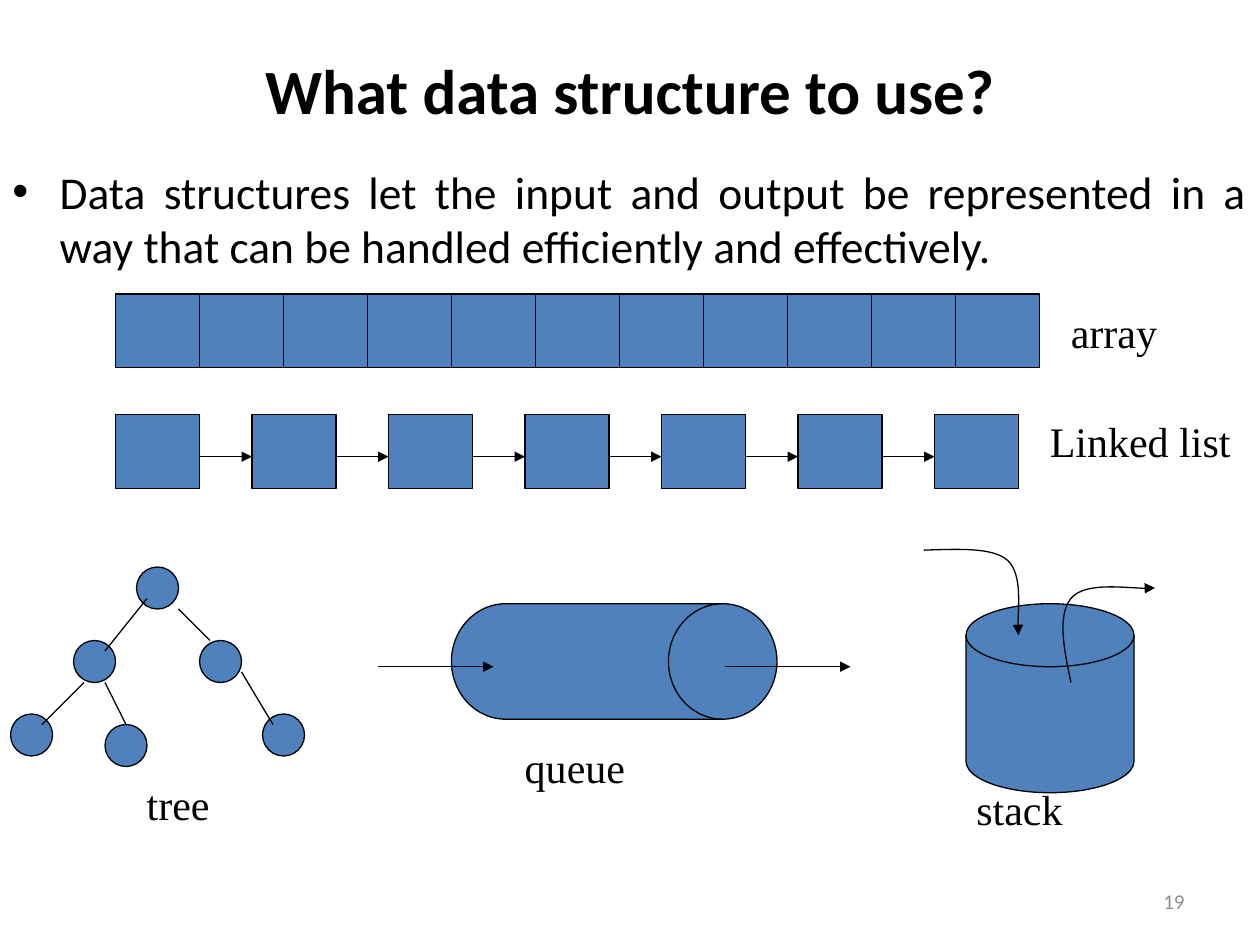
from dataclasses import dataclass

from lxml.etree import SubElement
from pptx import Presentation
from pptx.dml.color import RGBColor
from pptx.enum.shapes import MSO_CONNECTOR, MSO_SHAPE as Shape
from pptx.enum.text import MSO_ANCHOR as Anchor, MSO_AUTO_SIZE as AutoSize, PP_ALIGN as Align
from pptx.oxml.ns import qn
from pptx.util import Emu, Pt

PX = 7620  # EMU per px, 120 px to the inch


@dataclass(frozen=True)
class Theme:
    ink: str = "000000"
    fill: str = "4F81BD"
    muted: str = "8C8C8C"
    sans: str = "Calibri"
    serif: str = "Times New Roman"
    title_size: int = 36
    body_size: int = 26
    label_size: int = 24
    number_size: int = 12
    line_width: float = 0.75


def px(*lengths):
    return [Emu(length * PX) for length in lengths]


class SlideBuilder:
    def __init__(self, deck, theme):
        self.theme = theme
        self.page = deck.slides.add_slide(deck.slide_layouts[5])
        self.shapes = self.page.shapes

    def style_font(self, para, size, face, color=None, bold=False):
        font = para.font
        font.size, font.name, font.bold = Pt(size), face, bold
        font.color.rgb = RGBColor.from_string(color or self.theme.ink)

    def style_line(self, line, arrow=False):
        line.width = Pt(self.theme.line_width)
        line.color.rgb = RGBColor.from_string(self.theme.ink)
        if arrow:
            SubElement(line._get_or_add_ln(), qn("a:tailEnd"), type="triangle")

    def title(self, text, *bounds):
        box = self.shapes.title
        box.left, box.top, box.width, box.height = px(*bounds)
        frame = box.text_frame
        frame.text = text
        frame.vertical_anchor = Anchor.MIDDLE
        frame.paragraphs[0].alignment = Align.CENTER
        self.style_font(frame.paragraphs[0], self.theme.title_size, self.theme.sans, bold=True)

    def text(self, text, *bounds, wrap=True):
        frame = self.shapes.add_textbox(*px(*bounds)).text_frame
        frame.word_wrap = wrap
        frame.text = text
        return frame

    def bullet(self, text, *bounds):
        para = self.text(text, *bounds).paragraphs[0]
        para.alignment = Align.JUSTIFY
        properties = para._p.get_or_add_pPr()
        indent = px(45)[0]
        properties.set("marL", str(indent))
        properties.set("indent", str(-indent))
        SubElement(properties, qn("a:buFont"), typeface="Arial")
        SubElement(properties, qn("a:buChar"), char="•")
        self.style_font(para, self.theme.body_size, self.theme.sans)

    def label(self, text, left, top, width):
        frame = self.text(text, left, top, width, 60, wrap=False)
        frame.auto_size = AutoSize.SHAPE_TO_FIT_TEXT
        self.style_font(frame.paragraphs[0], self.theme.label_size, self.theme.serif)

    def page_number(self, text, *bounds):
        frame = self.text(text, *bounds)
        frame.vertical_anchor = Anchor.MIDDLE
        para = frame.paragraphs[0]
        para.alignment = Align.RIGHT
        self.style_font(para, self.theme.number_size, self.theme.sans, self.theme.muted)

    def shape(self, kind, *bounds):
        shape = self.shapes.add_shape(kind, *px(*bounds))
        shape.shadow.inherit = False
        shape.fill.solid()
        shape.fill.fore_color.rgb = RGBColor.from_string(self.theme.fill)
        self.style_line(shape.line)

    def line(self, *ends, arrow=False):
        connector = self.shapes.add_connector(MSO_CONNECTOR.STRAIGHT, *px(*ends))
        self.style_line(connector.line, arrow)
        SubElement(connector._element.spPr, qn("a:effectLst"))

    def curved_arrow(self, start, *points):
        """Draw Bézier segments; every three points are two controls and an end."""
        builder = self.shapes.build_freeform(*start, scale=PX)
        builder.add_line_segments(points, close=False)
        curve = builder.convert_to_shape()
        curve.shadow.inherit = False
        curve.fill.background()
        self.style_line(curve.line, arrow=True)
        steps = list(curve._element.iter(qn("a:lnTo")))
        outline = steps[0].getparent()
        for first in range(0, len(steps), 3):
            bezier = SubElement(outline, qn("a:cubicBezTo"))
            for step in steps[first:first + 3]:
                bezier.append(step[0])
                outline.remove(step)


def draw_array(slide):
    for index in range(11):
        slide.shape(Shape.RECTANGLE, 110 + 80 * index, 280, 80, 70)
    slide.label("array", 1008, 286, 107)


def draw_linked_list(slide):
    count, pitch, width = 7, 130, 80
    for index in range(count):
        left = 110 + pitch * index
        slide.shape(Shape.RECTANGLE, left, 395, width, 70)
        if index < count - 1:
            slide.line(left + width, 435, left + pitch, 435, arrow=True)
    slide.label("Linked list", 988, 390, 196)


def draw_tree(slide):
    nodes = [(130, 540), (70, 610), (10, 680), (190, 610), (250, 680), (100, 690)]
    edges = [(140, 570, 100, 620), (80, 650, 40, 690), (170, 580, 200, 610),
             (230, 640, 260, 690), (100, 650, 120, 690)]
    for left, top in nodes:
        slide.shape(Shape.OVAL, left, top, 40, 40)
    for edge in edges:
        slide.line(*edge)
    slide.label("tree", 128, 736, 84)


def draw_queue(slide):
    slide.shape(Shape.FLOWCHART_DIRECT_ACCESS_STORAGE, 430, 575, 310, 110)
    for start, end in [(360, 470), (690, 810)]:
        slide.line(start, 635, end, 635, arrow=True)
    slide.label("queue", 488, 700, 120)


def draw_stack(slide):
    slide.shape(Shape.FLOWCHART_MAGNETIC_DISK, 920, 575, 160, 180)
    slide.curved_arrow((880, 524), (912, 523), (946, 521), (960, 534),
                       (974, 548), (968, 593), (970, 605))
    slide.curved_arrow((1020, 650), (1013, 618), (1007, 586), (1020, 570),
                       (1033, 554), (1087, 562), (1100, 560))
    slide.label("stack", 918, 740, 107)


def main():
    deck = Presentation()
    deck.slide_width, deck.slide_height = px(1200, 900)
    slide = SlideBuilder(deck, Theme())
    slide.title("What data structure to use?", 90, 10, 1020, 150)
    slide.bullet("Data structures let the input and output be represented in a way "
                 "that can be handled efficiently and effectively.", 0, 150, 1200, 594)
    for draw in (draw_array, draw_linked_list, draw_tree, draw_queue, draw_stack):
        draw(slide)
    slide.page_number("19", 860, 834, 280, 48)
    deck.save("out.pptx")


if __name__ == "__main__":
    main()
